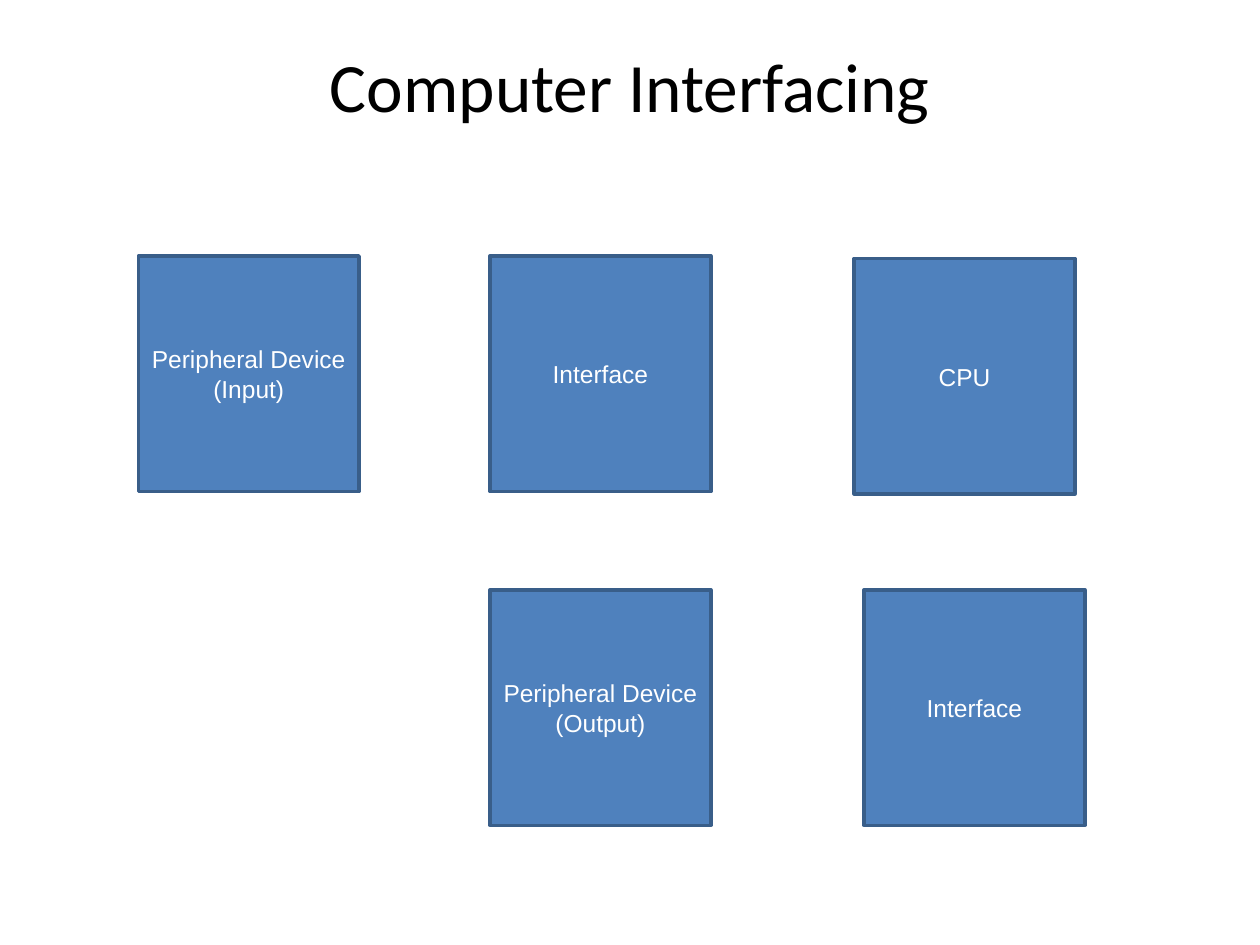
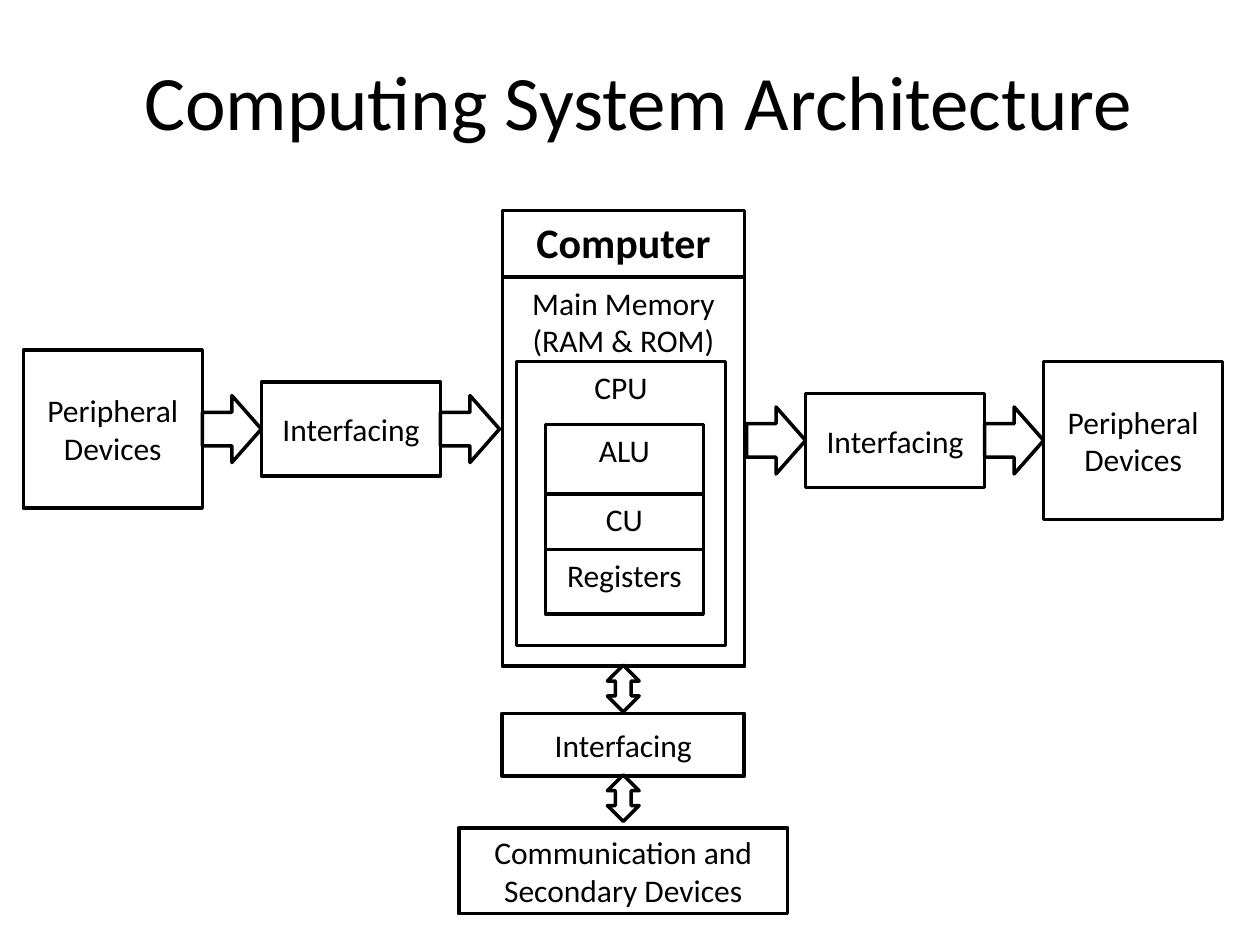
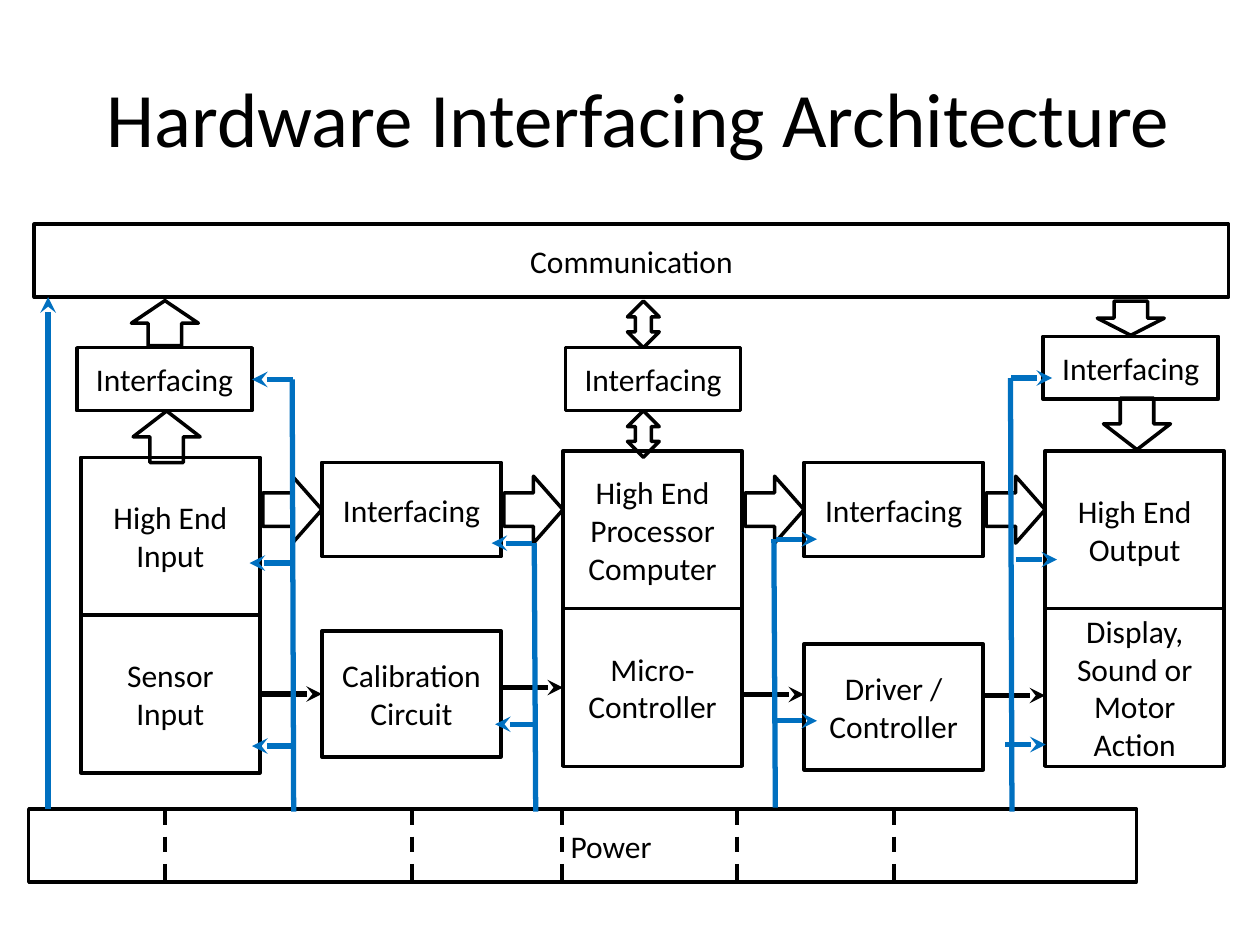
from dataclasses import dataclass

from pptx import Presentation
from pptx.dml.color import RGBColor
from pptx.enum.dml import MSO_LINE
from pptx.enum.shapes import MSO_CONNECTOR, MSO_SHAPE
from pptx.enum.text import MSO_ANCHOR, PP_ALIGN
from pptx.oxml.ns import qn
from pptx.util import Cm, Pt
from lxml.etree import SubElement


@dataclass(frozen=True)
class Theme:
    ink: RGBColor = RGBColor(0x00, 0x00, 0x00)
    power: RGBColor = RGBColor(0x00, 0x70, 0xC0)
    block_fill: RGBColor = RGBColor(0x4F, 0x81, 0xBD)
    block_line: RGBColor = RGBColor(0x39, 0x5E, 0x89)
    block_text: RGBColor = RGBColor(0xFF, 0xFF, 0xFF)
    title_font: str = "Calibri"
    block_font: str = "Arial"
    title: float = 44
    small_title: float = 39.6
    heading: float = 24
    label: float = 18
    block: float = 14
    outline: float = 2
    wire: float = 3
    divider: float = 2.25


THEME = Theme()


@dataclass(frozen=True)
class Box:
    """A rectangle in centimetres."""
    left: float
    top: float
    width: float
    height: float

    def inner(self, left, top, width, height):
        return Box(self.left + left, self.top + top, width, height)

    def lengths(self):
        return [Cm(v) for v in (self.left, self.top, self.width, self.height)]


LABEL = {"name": THEME.title_font, "size": Pt(THEME.label), "bold": False}
HEADING = {"name": THEME.title_font, "size": Pt(THEME.heading), "bold": True}
BLOCK = {"name": THEME.block_font, "size": Pt(THEME.block), "bold": False}
ARROW = (1.19, 1.35)
SMALL_ARROW = (0.64, 0.94)
DEVICE = (3.61, 3.18)
INTERFACE = (3.61, 1.9)


# Shared elements
def apply(target, values):
    for name, value in values.items():
        setattr(target, name, value)


def write(shape, text, font, color, anchor, indent=0):
    frame = shape.text_frame
    apply(frame, {
        "word_wrap": True, "vertical_anchor": anchor, "text": text,
        "margin_left": Cm(0.25 + indent), "margin_right": Cm(0.25),
        "margin_top": Cm(0.13), "margin_bottom": Cm(0.13),
    })
    for para in frame.paragraphs:
        para.alignment = PP_ALIGN.CENTER
        for span in para.runs:
            apply(span.font, font)
            span.font.color.rgb = color


def draw(page, kind, box, line=THEME.ink, fill=None):
    shape = page.shapes.add_shape(kind, *box.lengths())
    if fill is None:
        shape.fill.background()
    else:
        shape.fill.solid()
        shape.fill.fore_color.rgb = fill
    shape.line.color.rgb = line
    shape.line.width = Pt(THEME.outline)
    shape.shadow.inherit = False
    return shape


def label_box(page, box, text, font=LABEL, anchor=MSO_ANCHOR.MIDDLE, indent=0):
    shape = draw(page, MSO_SHAPE.RECTANGLE, box)
    write(shape, text, font, THEME.ink, anchor, indent)
    return shape


def right_arrow(page, box, rotation=0):
    draw(page, MSO_SHAPE.RIGHT_ARROW, box).rotation = rotation


def two_way_arrow(page, box):
    draw(page, MSO_SHAPE.UP_DOWN_ARROW, box)


def wire(page, start, end, color=THEME.ink, width=THEME.wire, dash=None, arrow=False):
    connector = page.shapes.add_connector(
        MSO_CONNECTOR.STRAIGHT, *[Cm(v) for v in (*start, *end)])
    line = connector.line
    line.color.rgb = color
    line.width = Pt(width)
    if dash:
        line.dash_style = dash
    properties = connector._element.spPr
    if arrow:
        SubElement(properties.find(qn("a:ln")), qn("a:tailEnd"), type="stealth")
    SubElement(properties, qn("a:effectLst"))
    return connector


def add_page(deck, title, box, size=THEME.title, indent=0):
    page = deck.slides.add_slide(deck.slide_layouts[6])
    shape = page.shapes.add_textbox(*box.lengths())
    font = {"name": THEME.title_font, "size": Pt(size)}
    write(shape, title, font, THEME.ink, MSO_ANCHOR.MIDDLE, indent)
    return page


# Computer interfacing
def interfacing_blocks(page, box):
    blocks = [
        ("Peripheral Device (Input)", 0, 0), ("Interface", 7.09, 0),
        ("CPU", 14.43, 0.05), ("Peripheral Device (Output)", 7.09, 6.73),
        ("Interface", 14.63, 6.73),
    ]
    for text, left, top in blocks:
        shape = draw(page, MSO_SHAPE.RECTANGLE, box.inner(left, top, 4.45, 4.75),
                     THEME.block_line, THEME.block_fill)
        write(shape, text, BLOCK, THEME.block_text, MSO_ANCHOR.MIDDLE)


# Computing system: the computer and what it holds
def computer(page, box):
    top = MSO_ANCHOR.TOP
    label_box(page, box.inner(0, 1.35, box.width, box.height - 1.35),
              "Main Memory\n(RAM & ROM)", anchor=top)
    label_box(page, box.inner(0.28, 3.05, 4.22, 5.72), "CPU", anchor=top)
    offset = 4.32
    for text, height in (("ALU", 1.4), ("CU", 1.12), ("Registers", 1.3)):
        label_box(page, box.inner(0.87, offset, 3.18, height), text, anchor=top)
        offset += height
    label_box(page, box, "Computer", HEADING, top)


# A row of boxes and arrows, side by side on one axis
def device_chain(page, box, links):
    left = 0
    for text, (width, height) in links:
        place = box.inner(left, (box.height - height) / 2, width, height)
        if text:
            label_box(page, place, text)
        else:
            right_arrow(page, place)
        left += width


# A column below the computer, centred on one axis
def secondary_column(page, box):
    links = [
        (None, 0, SMALL_ARROW), ("Interfacing", 0.97, (4.88, 1.27)),
        (None, 2.21, SMALL_ARROW),
        ("Communication and Secondary Devices", 3.28, (6.63, 1.73)),
    ]
    for text, top, (width, height) in links:
        place = box.inner((box.width - width) / 2, top, width, height)
        if text:
            label_box(page, place, text)
        else:
            two_way_arrow(page, place)


# Hardware: five stages, each with an upper and a lower box
def stages(page, box):
    width, tall, low, circuit = 3.61, 3.18, 1.9, 2.54
    pitch = (box.width - width) / 4
    columns = [
        (("High End Input", 0.13, tall), ("Sensor Input", 3.31, tall)),
        (("Interfacing", 0.23, low), ("Calibration Circuit", 3.63, circuit)),
        (("High End Processor Computer", 0, tall), ("Micro-Controller", 3.18, tall)),
        (("Interfacing", 0.23, low), ("Driver / Controller", 3.89, circuit)),
        (("High End Output", 0, tall), ("Display, Sound or Motor Action", 3.18, tall)),
    ]
    lower = []
    for index, column in enumerate(columns):
        for text, top, height in column:
            shape = label_box(page, box.inner(index * pitch, top, width, height), text)
        lower.append(shape)
        if index:
            right_arrow(page, box.inner(index * pitch - ARROW[0], 0.51, *ARROW))

    signals = []
    for index, height in enumerate((4.9, 4.77, 4.91, 4.93)):
        start = box.inner(index * pitch + width, height, 0, 0)
        end = box.inner((index + 1) * pitch, height, 0, 0)
        signals.append(wire(page, (start.left, start.top), (end.left, end.top), arrow=True))
    signals[0].begin_connect(lower[0], 3)
    for signal, target in zip(signals[:2], lower[1:3]):
        signal.end_connect(target, 1)


# Interfaces between the stages and the communication bar
def communication_links(page, box):
    for left, top in ((0, 0.23), (9.85, 0.23), (19.48, 0)):
        label_box(page, box.inner(left, top, 3.53, 1.27), "Interfacing")
    turned = [
        (1.29, 1.35, 1.04, 270), (1.32, -0.94, 0.91, 270),
        (20.9, -1.04, 0.69, 90), (20.85, 1.09, 1.04, 90),
    ]
    for left, top, length, rotation in turned:
        right_arrow(page, box.inner(left, top, length, ARROW[1]), rotation)
    for top in (-0.71, 1.5):
        two_way_arrow(page, box.inner(11.1, top, *SMALL_ARROW))


# Power bar with dashed dividers
def power_bar(page, box):
    label_box(page, box, "Power", indent=1.15)
    for offset in (2.75, 7.73, 10.75, 14.28, 17.45):
        left = box.left + offset
        wire(page, (left, box.top), (left, box.top + box.height),
             width=THEME.divider, dash=MSO_LINE.DASH)


# Power trunk with taps; each tap is (tip offset, drop)
def power_feed(page, box, taps):
    wire(page, (box.left + box.width, box.top + box.height), (box.left, box.top), THEME.power)
    for tip, drop in taps:
        end = box.left + box.width + tip
        start = end - (0.82 if tip > 0 else -0.82)
        height = box.top + drop
        wire(page, (start, height), (end, height), THEME.power, arrow=True)


def main():
    deck = Presentation()
    deck.slide_width, deck.slide_height = Cm(25.4), Cm(19.05)

    page = add_page(deck, "Computer Interfacing", Box(1.27, 0.76, 22.86, 1.88),
                    THEME.small_title)
    interfacing_blocks(page, Box(2.79, 5.16, 19.08, 11.48))

    page = add_page(deck, "Computing System Architecture",
                    Box(1.27, 0.43, 22.86, 3.18), indent=0.35)
    computer(page, Box(10.13, 4.24, 4.88, 9.19))
    inputs = [("Peripheral\nDevices", DEVICE), (None, ARROW),
              ("Interfacing", INTERFACE), (None, ARROW)]
    device_chain(page, Box(0.47, 7.06, 9.6, 3.18), inputs)
    device_chain(page, Box(15.05, 7.29, 9.6, 3.18), inputs[::-1])
    secondary_column(page, Box(9.25, 13.41, 6.63, 5.01))

    page = add_page(deck, "Hardware Interfacing Architecture",
                    Box(1.27, 0.76, 22.86, 3.18), indent=0.35)
    stages(page, Box(1.63, 9.09, 23.05, 6.49))
    power_bar(page, Box(0.58, 16.31, 22.33, 1.47))
    label_box(page, Box(0.69, 4.52, 24.08, 1.47), "Communication")
    communication_links(page, Box(1.55, 6.78, 23.01, 1.5))
    wire(page, (0.97, 16.31), (0.97, 5.99), THEME.power, arrow=True)
    feeds = [
        (Box(5.89, 7.65, 0.03, 8.71), [(-0.84, 0), (-0.89, 3.7), (-0.84, 7.39)]),
        (Box(10.77, 10.95, 0.03, 5.41), [(-0.89, 0), (-0.82, 3.65)]),
        (Box(15.6, 10.87, 0.03, 5.41), [(0.84, 0), (0.84, 3.66)]),
        (Box(20.37, 7.62, 0.03, 8.74), [(0.81, 0), (0.91, 3.66), (0.68, 7.39)]),
    ]
    for box, taps in feeds:
        power_feed(page, box, taps)

    deck.save("out.pptx")


if __name__ == "__main__":
    main()
